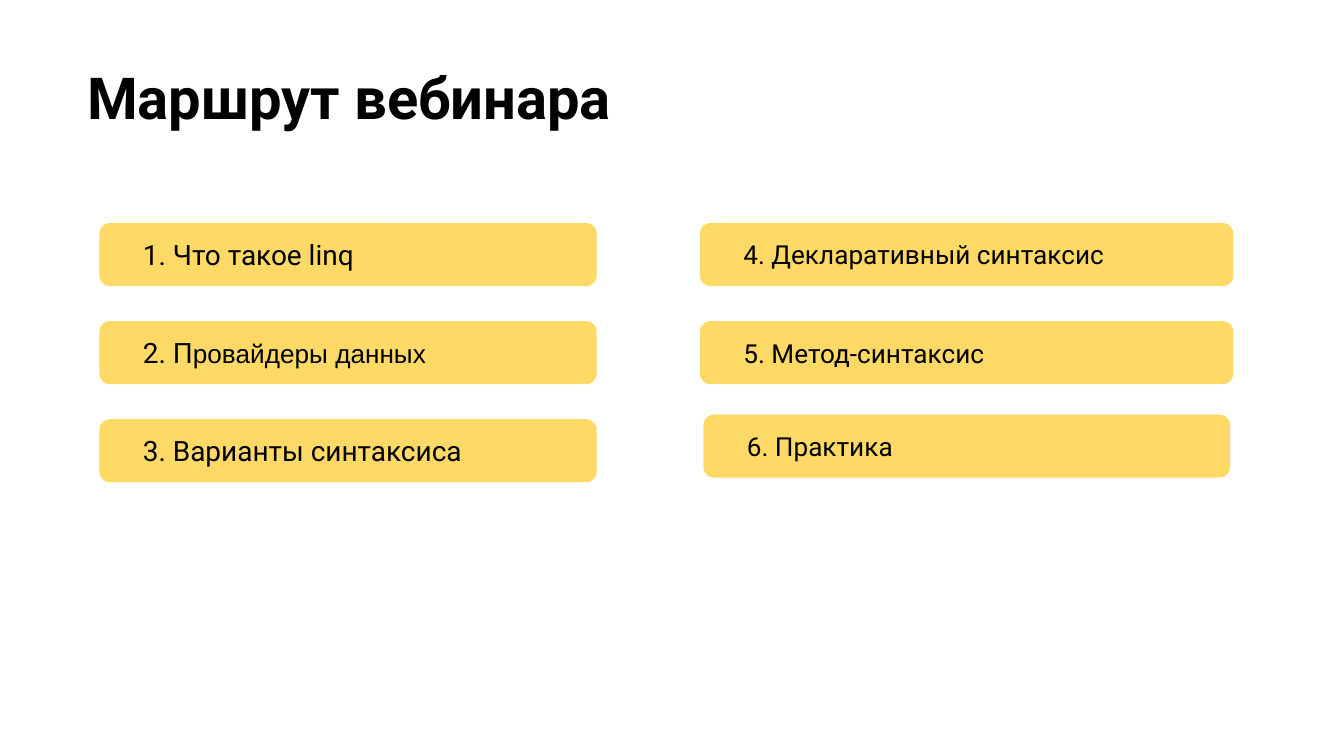
from pptx import Presentation
from pptx.dml.color import RGBColor
from pptx.enum.shapes import MSO_SHAPE as SHAPE
from pptx.enum.text import MSO_ANCHOR as ANCHOR, PP_ALIGN as ALIGN
from pptx.util import Pt

BLACK = RGBColor(0x00, 0x00, 0x00)
WHITE = RGBColor(0xFF, 0xFF, 0xFF)
YELLOW = RGBColor(0xFF, 0xD9, 0x66)

BAR_H, ROW_STEP = 33.8, 52.56

# Each bar: (inset from the column's sides, shift down, runs of (text, size, font))
LEFT_BARS = [
    (0, 0, [("1. Что такое linq", 15, "Roboto")]),
    (0, 0, [("2. П", 15, "Roboto"), ("ровайдеры данных", 14, "Arial")]),
    (0, 0, [("3. Варианты синтаксиса", 15, "Roboto")]),
]
RIGHT_BARS = [
    (0, 0, [("4. Декларативный синтаксис", 14, "Roboto")]),
    (0, 0, [("5. Метод-синтаксис", 14, "Roboto")]),
    (1.8, -2.5, [("6. Практика", 14, "Roboto")]),
]


def write(sp, runs, side, anchor, bold=False):
    tf = sp.text_frame
    frame = {"word_wrap": True, "vertical_anchor": anchor,
             "margin_left": Pt(side), "margin_right": Pt(side),
             "margin_top": Pt(7.2), "margin_bottom": Pt(7.2)}
    for name, value in frame.items():
        setattr(tf, name, value)
    p = tf.paragraphs[0]
    p.alignment = ALIGN.LEFT
    for text, size, font in runs:
        r = p.add_run()
        r.text = text
        for name, value in {"size": Pt(size), "name": font, "bold": bold}.items():
            setattr(r.font, name, value)
        r.font.color.rgb = BLACK


def add_title(s, left, top, width, height):
    sp = s.shapes.add_textbox(Pt(left), Pt(top), Pt(width), Pt(height))
    write(sp, [("Маршрут вебинара", 31, "Roboto")], 7.2, ANCHOR.TOP, bold=True)


def add_column(s, left, top, width, bars):
    for row, (inset, shift, runs) in enumerate(bars):
        sp = s.shapes.add_shape(
            SHAPE.ROUNDED_RECTANGLE, Pt(left + inset),
            Pt(top + row * ROW_STEP + shift), Pt(width - 2 * inset), Pt(BAR_H))
        sp.adjustments[0] = 0.17
        sp.shadow.inherit = False
        sp.fill.solid()
        sp.fill.fore_color.rgb = YELLOW
        sp.line.fill.background()
        write(sp, runs, 21.6, ANCHOR.MIDDLE)


def main():
    prs = Presentation()
    prs.slide_width, prs.slide_height = Pt(720), Pt(405)
    s = prs.slides.add_slide(prs.slide_layouts[6])
    s.background.fill.solid()
    s.background.fill.fore_color.rgb = WHITE

    # Heading
    add_title(s, 39.6, 25.9, 671, 77)
    # Agenda in two columns
    add_column(s, 53.3, 119.5, 266.4, LEFT_BARS)
    add_column(s, 375, 119.5, 285.8, RIGHT_BARS)

    prs.save("out.pptx")


if __name__ == "__main__":
    main()
